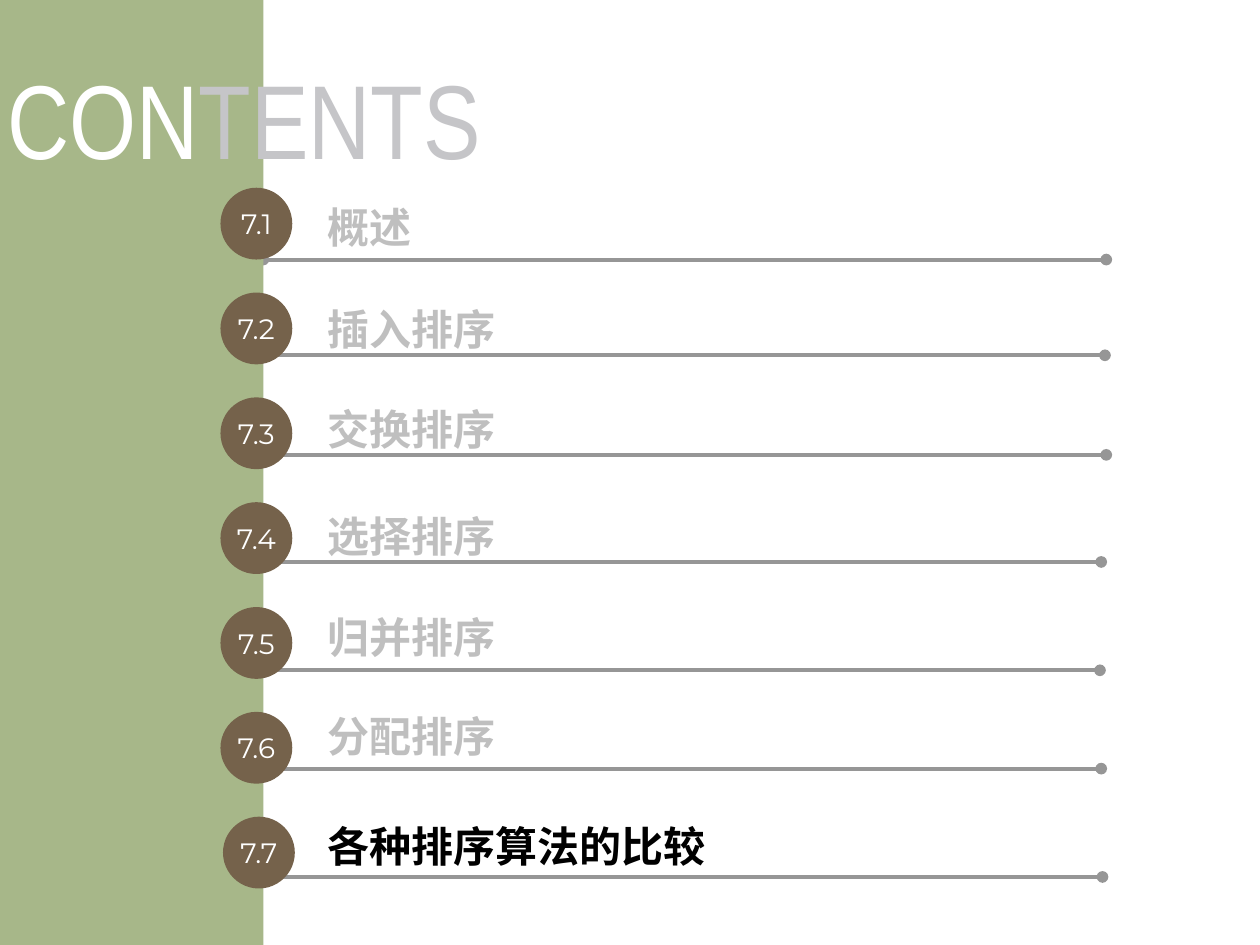
from lxml.etree import SubElement
from pptx import Presentation
from pptx.dml.color import RGBColor
from pptx.enum.shapes import MSO_CONNECTOR, MSO_SHAPE
from pptx.enum.text import MSO_ANCHOR, PP_ALIGN
from pptx.oxml.ns import qn
from pptx.util import Inches, Pt

GREEN = RGBColor(0xA7, 0xB7, 0x89)
BROWN = RGBColor(0x75, 0x62, 0x4B)
LINE_GRAY = RGBColor(0x96, 0x96, 0x96)
TEXT_GRAY = RGBColor(0xBF, 0xBF, 0xBF)
TITLE_GRAY = RGBColor(0xC5, 0xC5, 0xC8)
WHITE = RGBColor(0xFF, 0xFF, 0xFF)
BLACK = RGBColor(0, 0, 0)

TITLE = [("CON", WHITE), ("TENTS", TITLE_GRAY)]

# number, heading, colour, text top, text width, line left, line y, circle left
SECTIONS = [
    ("7.1", "概述", TEXT_GRAY, 1.6, 3.56, 2.09, 2.06, 1.75),
    ("7.2", "插入排序", TEXT_GRAY, 2.41, 2.55, 2.08, 2.82, 1.75),
    ("7.3", "交换排序", TEXT_GRAY, 3.2, 3.24, 2.09, 3.61, 1.75),
    ("7.4", "选择排序", TEXT_GRAY, 4.05, 2.94, 2.05, 4.46, 1.75),
    ("7.5", "归并排序", TEXT_GRAY, 4.85, 4.11, 2.04, 5.32, 1.75),
    ("7.6", "分配排序", TEXT_GRAY, 5.64, 4.31, 2.05, 6.1, 1.75),
    ("7.7", "各种排序算法的比较", BLACK, 6.51, 4.11, 2.06, 6.96, 1.77),
]
LINE_LENGTH = 6.69
TEXT_LEFT, TEXT_HEIGHT = 2.5, 0.4
CIRCLE_TOP, CIRCLE_STEP, CIRCLE_SIZE = 1.49, 0.832, 0.57


def add_run(p, text, size, font, color, bold=False):
    r = p.add_run()
    r.text = text
    r.font.size = Pt(size)
    r.font.bold = bold
    r.font.color.rgb = color
    r.font.name = font
    SubElement(r.font._element, qn("a:ea"), typeface=font)


def add_text(slide, left, top, width, height):
    tf = slide.shapes.add_textbox(*map(Inches, (left, top, width, height))).text_frame
    tf.word_wrap = True
    tf.vertical_anchor = MSO_ANCHOR.MIDDLE
    return tf.paragraphs[0]


def add_solid(slide, kind, left, top, width, height, color):
    sp = slide.shapes.add_shape(kind, *map(Inches, (left, top, width, height)))
    sp.shadow.inherit = False
    sp.fill.solid()
    sp.fill.fore_color.rgb = color
    sp.line.fill.background()
    return sp


def add_rule(slide, left, y):
    ends = map(Inches, (left, y, left + LINE_LENGTH, y))
    line = slide.shapes.add_connector(MSO_CONNECTOR.STRAIGHT, *ends)
    line.line.color.rgb = LINE_GRAY
    line.line.width = Pt(2.25)
    ln = line.line._get_or_add_ln()
    for end in ("a:headEnd", "a:tailEnd"):
        SubElement(ln, qn(end), type="oval")
    SubElement(line._element.spPr, qn("a:effectLst"))


def add_circle(slide, number, left, top):
    sp = add_solid(slide, MSO_SHAPE.OVAL, left, top, CIRCLE_SIZE, CIRCLE_SIZE, BROWN)
    tf = sp.text_frame
    tf.margin_left = tf.margin_right = tf.margin_top = tf.margin_bottom = 0
    tf.vertical_anchor = MSO_ANCHOR.MIDDLE
    p = tf.paragraphs[0]
    p.alignment = PP_ALIGN.CENTER
    add_run(p, number, 16, "Montserrat", WHITE)


def main():
    prs = Presentation()
    prs.slide_width, prs.slide_height = Inches(10), Inches(7.5)
    s = prs.slides.add_slide(prs.slide_layouts[6])

    for _, heading, color, top, width, line_left, line_y, _ in SECTIONS:
        add_rule(s, line_left, line_y)
        p = add_text(s, TEXT_LEFT, top, width, TEXT_HEIGHT)
        add_run(p, heading, 24, "Noto Sans CJK SC", color, bold=True)

    add_solid(s, MSO_SHAPE.RECTANGLE, 0, 0, 2.09, 7.5, GREEN)
    p = add_text(s, -0.04, 0.35, 4.88, 1.16)
    for text, color in TITLE:
        add_run(p, text, 60, "Arial Narrow", color)

    for i, (number, *_, left) in enumerate(SECTIONS):
        add_circle(s, number, left, CIRCLE_TOP + i * CIRCLE_STEP)

    prs.save("out.pptx")


if __name__ == "__main__":
    main()
